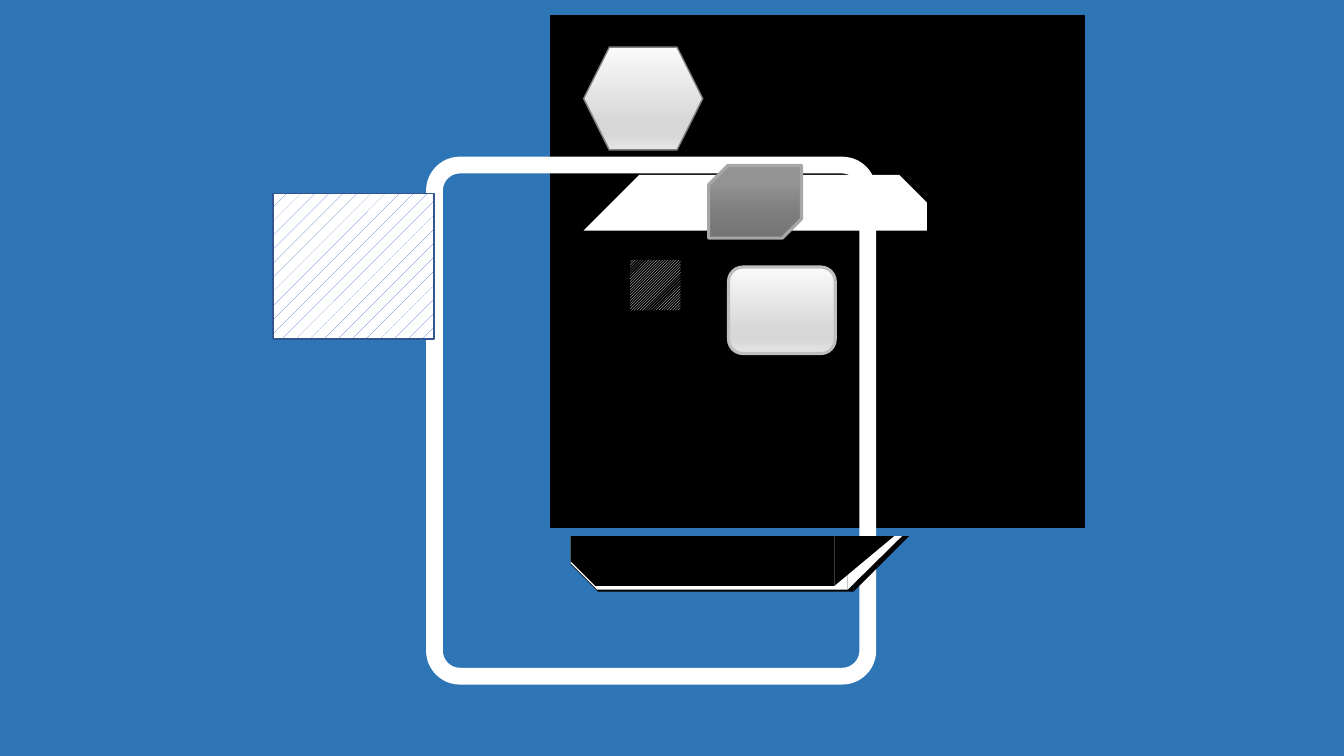
from lxml.etree import SubElement
from pptx import Presentation
from pptx.dml.color import RGBColor
from pptx.enum.dml import MSO_PATTERN as Pat
from pptx.enum.shapes import MSO_SHAPE as Kind
from pptx.oxml.ns import qn
from pptx.util import Cm, Pt

BLUE = RGBColor(0x2E, 0x75, 0xB6)
BLACK = RGBColor(0, 0, 0)
WHITE = RGBColor(0xFF, 0xFF, 0xFF)
NAVY = RGBColor(0x32, 0x54, 0x91)
HATCH = RGBColor(0x44, 0x72, 0xC4)
GREY = RGBColor(0x80, 0x80, 0x80)
MID = RGBColor(0xA6, 0xA6, 0xA6)
PALE = RGBColor(0xBF, 0xBF, 0xBF)
LIGHT = ((0, "FAFAFA"), (74, "D7D7D7"), (83, "D7D7D7"), (100, "E4E4E4"))
DARK = ((0, "939393"), (23, "939393"), (69, "7C7C7C"), (97, "747474"))


def draw(shapes, kind, box, fill=None, line=None, width=1, adj=(), flip=False, turn=0):
    """Add one preset shape, with a solid fill, a line and adjustments."""
    shape = shapes.add_shape(kind, *map(Cm, box))
    shape.shadow.inherit = False
    shape.rotation = turn
    if flip:
        shape._element.spPr.find(qn("a:xfrm")).set("flipH", "1")
    for i, value in enumerate(adj):
        shape.adjustments[i] = value
    if fill is None:
        shape.fill.background()
    else:
        shape.fill.solid()
        shape.fill.fore_color.rgb = fill
    if line is None:
        shape.line.fill.background()
    else:
        shape.line.color.rgb = line
        shape.line.width = Pt(width)
    return shape


def shade(shape, stops):
    """Fill a shape with a gradient that runs from top to bottom."""
    shape.fill.gradient()
    shape.fill.gradient_angle = 270
    ramp = shape._element.spPr.find(qn("a:gradFill")).find(qn("a:gsLst"))
    for old in list(ramp):
        ramp.remove(old)
    for place, tint in stops:
        stop = SubElement(ramp, qn("a:gs"), pos=str(place * 1000))
        SubElement(stop, qn("a:srgbClr"), val=tint)


def hatch(shape, pattern, fore, clear=False):
    """Fill a shape with a pattern on white or on a clear ground."""
    shape.fill.patterned()
    shape.fill.pattern = pattern
    shape.fill.fore_color.rgb = fore
    shape.fill.back_color.rgb = WHITE
    if clear:
        ground = shape._element.spPr.find(qn("a:pattFill")).find(qn("a:bgClr"))
        SubElement(ground[0], qn("a:alpha"), val="0")


def add_board(shapes, x, y, w, h):
    """Draw the black board and the white frame that overlaps it."""
    draw(shapes, Kind.RECTANGLE, (x, y, w, h), BLACK, BLACK)
    frame = (x - 2.92, y + 3.76, 10.92, h)
    draw(shapes, Kind.ROUNDED_RECTANGLE, frame, line=WHITE, width=12, adj=[0.059])


def add_band(shapes, x, y, w, h):
    """Draw the white band with a slanted left end."""
    band = shapes.add_group_shape().shapes
    draw(band, Kind.SNIP_1_RECTANGLE, (x + h, y, w - h, h), WHITE, adj=[0.495])
    draw(band, Kind.RIGHT_TRIANGLE, (x, y, h, h), WHITE, flip=True)


def add_tiles(shapes, x, y):
    """Draw the shaded and hatched tiles from a top left corner."""
    hexa = draw(shapes, Kind.HEXAGON, (x, y, 3, 2.59), line=GREY)
    shade(hexa, LIGHT)
    snip = draw(shapes, Kind.SNIP_2_DIAG_RECTANGLE, (x + 3.15, y + 2.98, 2.34, 1.83),
                line=MID, width=2.25, adj=(0, 0.265), flip=True)
    shade(snip, DARK)
    card = draw(shapes, Kind.ROUNDED_RECTANGLE, (x + 3.65, y + 5.54, 2.69, 2.18),
                line=PALE, width=2.25)
    shade(card, LIGHT)
    panel = draw(shapes, Kind.RECTANGLE, (x - 7.83, y + 3.69, 4.06, 3.66), line=NAVY)
    hatch(panel, Pat.PERCENT_5, HATCH)
    patch = draw(shapes, Kind.RECTANGLE, (x + 1.17, y + 5.36, 1.27, 1.27))
    hatch(patch, Pat.DARK_UPWARD_DIAGONAL, WHITE, clear=True)


def add_foot(shapes, x, y):
    """Draw the foot as three stacked layers of bar and triangle."""
    foot = shapes.add_group_shape().shapes
    layers = ((7.13, 1.4, 1.4, BLACK), (6.98, 1.37, 1.35, WHITE), (6.65, 1.5, 1.25, BLACK))
    for bar, tip, h, fill in layers:
        draw(foot, Kind.SNIP_1_RECTANGLE, (x, y, bar, h), fill, adj=[0.495], turn=180)
        draw(foot, Kind.RIGHT_TRIANGLE, (x + bar, y, tip, h), fill, flip=True, turn=180)


def main():
    """Build the slide and save it."""
    deck = Presentation()
    deck.slide_width, deck.slide_height = Cm(33.87), Cm(19.05)
    slide = deck.slides.add_slide(deck.slide_layouts[6])
    ground = slide.background.fill
    ground.solid()
    ground.fore_color.rgb = BLUE
    add_board(slide.shapes, 13.87, 0.4, 13.46, 12.88)
    add_band(slide.shapes, 14.71, 4.41, 8.65, 1.4)
    add_tiles(slide.shapes, 14.71, 1.19)
    add_foot(slide.shapes, 14.38, 13.51)
    deck.save("out.pptx")


main()
